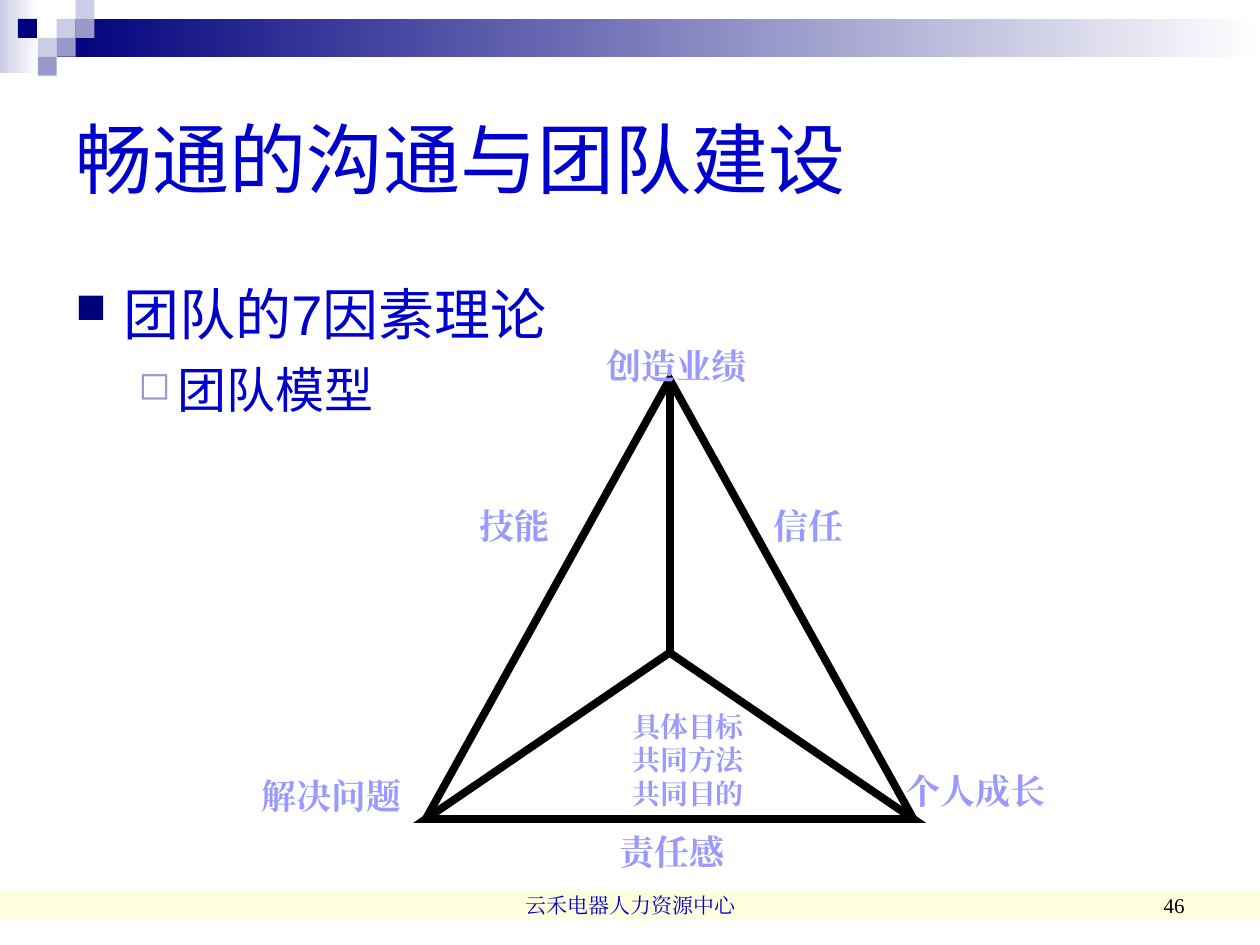
from dataclasses import dataclass

import pptx
import pptx.dml.color
import pptx.enum.shapes
import pptx.enum.text
import pptx.oxml
import pptx.oxml.ns
import pptx.util

RGBColor = pptx.dml.color.RGBColor
Shape = pptx.enum.shapes.MSO_SHAPE
Align = pptx.enum.text.PP_ALIGN
Anchor = pptx.enum.text.MSO_ANCHOR

NAVY = RGBColor(0x00, 0x00, 0x7D)
BLUE = RGBColor(0x00, 0x00, 0xCC)
LAVENDER = RGBColor(0xCC, 0xCC, 0xE6)
MAUVE = RGBColor(0x99, 0x99, 0xCC)
PERIWINKLE = RGBColor(0x99, 0x99, 0xFF)
YELLOW = RGBColor(0xFF, 0xFF, 0x99)
WHITE = RGBColor(0xFF, 0xFF, 0xFF)
BLACK = RGBColor(0x00, 0x00, 0x00)

COLUMNS, ROWS = 100, 75
SLIDE_WIDTH, SLIDE_HEIGHT = pptx.util.Inches(10), pptx.util.Inches(7.5)
TILE = 1.5
STROKE = pptx.util.Pt(4.5)


@dataclass(frozen=True)
class Box:
    """A rectangle in grid columns and rows."""
    left: float
    top: float
    width: float
    height: float

    def lengths(self) -> tuple[int, int, int, int]:
        return (column(self.left), row(self.top), column(self.width), row(self.height))


@dataclass(frozen=True)
class TextStyle:
    size: float
    color: RGBColor
    font: str = "Times New Roman"
    bold: bool = False
    align: Align = Align.LEFT
    anchor: Anchor = Anchor.TOP
    wrap: bool = True


@dataclass(frozen=True)
class Bullet:
    text: str
    character: str
    color: RGBColor
    percent: int
    size: float
    margin: float
    hang: float
    space_before: float


LABEL = TextStyle(20, PERIWINKLE, bold=True, align=Align.CENTER, anchor=Anchor.MIDDLE, wrap=False)
TILES = [(3, 1, LAVENDER), (4, 0, LAVENDER), (4, 1, MAUVE), (2, 2, LAVENDER),
         (0.95, 1, NAVY), (3, 2, MAUVE), (2, 3, MAUVE)]
PYRAMID = Box(33.8, 30.1, 38.7, 34.9)
BASE_HEIGHT = 13.2
LABELS = [
    ("创造业绩", Box(40.8, 27.2, 25.8, 3.6)),
    ("信任", Box(60, 41, 8.3, 1.4)),
    ("技能", Box(36.7, 41, 8.3, 1.4)),
    ("个人成长", Box(70.8, 60.6, 13.3, 4.3)),
    ("解决问题", Box(16.7, 61.3, 19.2, 3.6)),
    ("责任感", Box(47.1, 65.4, 12.5, 4.3)),
]
BULLETS = [
    Bullet("团队的7因素理论", "■", NAVY, 75, 32, 3.8, 3.8, 0),
    Bullet("团队模型", "◻", MAUVE, 80, 28, 8.1, 3.1, 7),
]


def column(count: float) -> int:
    return round(SLIDE_WIDTH * count / COLUMNS)


def row(count: float) -> int:
    return round(SLIDE_HEIGHT * count / ROWS)


def xml(tag: str, **attributes: str):
    element = pptx.oxml.parse_xml(f"<a:{tag} {pptx.oxml.ns.nsdecls('a')}/>")
    for name, value in attributes.items():
        element.set(name, value)
    return element


def add_filled(slide, box: Box, color: RGBColor, kind: Shape = Shape.RECTANGLE):
    shape = slide.shapes.add_shape(kind, *box.lengths())
    shape.shadow.inherit = False
    shape.fill.solid()
    shape.fill.fore_color.rgb = color
    shape.line.fill.background()
    return shape


def add_fade(slide, box: Box, color: RGBColor) -> None:
    """Draw a rectangle fading from the colour at the left to white."""
    fill = add_filled(slide, box, color).fill
    fill.gradient()
    fill.gradient_angle = 0
    for stop, position, stop_color in zip(fill.gradient_stops, (0, 1), (color, WHITE)):
        stop.position = position
        stop.color.rgb = stop_color


def add_outlined(slide, box: Box, kind: Shape) -> None:
    line = add_filled(slide, box, WHITE, kind).line
    line.color.rgb = BLACK
    line.width = STROKE
    line._get_or_add_ln().append(xml("miter", lim="800000"))


def add_edge(slide, x: float, top: float, bottom: float) -> None:
    edge = slide.shapes.add_connector(pptx.enum.shapes.MSO_CONNECTOR.STRAIGHT,
                                      column(x), row(top), column(x), row(bottom))
    edge.line.color.rgb = BLACK
    edge.line.width = STROKE
    edge._element.spPr.append(xml("effectLst"))


def format_paragraph(paragraph, style: TextStyle) -> None:
    paragraph.alignment = style.align
    for run in paragraph.runs:
        run.font.size = pptx.util.Pt(style.size)
        run.font.bold = style.bold
        run.font.name = style.font
        run.font.color.rgb = style.color
        run.font._element.find(pptx.oxml.ns.qn("a:latin")).addnext(xml("ea", typeface=style.font))


def add_text(slide, text: str, box: Box, style: TextStyle):
    frame = slide.shapes.add_textbox(*box.lengths()).text_frame
    frame.word_wrap = style.wrap
    frame.vertical_anchor = style.anchor
    frame.text = text
    for paragraph in frame.paragraphs:
        format_paragraph(paragraph, style)
    return frame


def add_bullets(slide, box: Box, bullets: list[Bullet]) -> None:
    frame = add_text(slide, "\n".join(bullet.text for bullet in bullets), box,
                     TextStyle(32, BLUE, "Arial"))
    for paragraph, bullet in zip(frame.paragraphs, bullets):
        paragraph.space_before = pptx.util.Pt(bullet.space_before)
        properties = paragraph._p.get_or_add_pPr()
        properties.set("marL", str(column(bullet.margin)))
        properties.set("indent", str(-column(bullet.hang)))
        color = xml("buClr")
        color.append(xml("srgbClr", val=str(bullet.color)))
        properties.extend([color, xml("buSzPct", val=str(bullet.percent * 1000)),
                           xml("buChar", char=bullet.character)])
        for run in paragraph.runs:
            run.font.size = pptx.util.Pt(bullet.size)


def add_decoration(slide) -> None:
    band = add_filled(slide, Box(0, 70.6, COLUMNS, 2.4), YELLOW)
    band.fill._xPr.find(".//" + pptx.oxml.ns.qn("a:srgbClr")).append(xml("alpha", val="30000"))
    add_fade(slide, Box(0, 0, 3.1, 5.8), LAVENDER)
    add_fade(slide, Box(3 * TILE, TILE, COLUMNS - 3 * TILE, 2 * TILE), NAVY)
    for tile_column, tile_row, color in TILES:
        add_filled(slide, Box(tile_column * TILE, tile_row * TILE, TILE, TILE), color)


def add_team_model(slide) -> None:
    base_top = PYRAMID.top + PYRAMID.height - BASE_HEIGHT
    add_outlined(slide, PYRAMID, Shape.ISOSCELES_TRIANGLE)
    add_edge(slide, PYRAMID.left + PYRAMID.width / 2, PYRAMID.top, base_top)
    add_outlined(slide, Box(PYRAMID.left, base_top, PYRAMID.width, BASE_HEIGHT),
                 Shape.FLOWCHART_EXTRACT)
    add_text(slide, "具体目标\n共同方法\n共同目的", Box(49.2, 55.8, 11.3, 9),
             TextStyle(16, PERIWINKLE, bold=True))
    for text, box in LABELS:
        add_text(slide, text, box, LABEL)


def main() -> None:
    presentation = pptx.Presentation()
    presentation.slide_width, presentation.slide_height = SLIDE_WIDTH, SLIDE_HEIGHT
    slide = presentation.slides.add_slide(presentation.slide_layouts[6])
    add_decoration(slide)
    add_text(slide, "畅通的沟通与团队建设", Box(5, 5, 90, 15),
             TextStyle(44, BLUE, "Arial", anchor=Anchor.MIDDLE))
    add_bullets(slide, Box(5, 21.7, 90, 42.5), BULLETS)
    add_team_model(slide)
    add_text(slide, "云禾电器人力资源中心", Box(34.2, 68.3, 31.7, 5),
             TextStyle(12, BLUE, align=Align.CENTER, anchor=Anchor.BOTTOM))
    add_text(slide, "46", Box(71.7, 68.3, 23.3, 5),
             TextStyle(12, BLACK, align=Align.RIGHT, anchor=Anchor.BOTTOM))
    presentation.save("out.pptx")


if __name__ == "__main__":
    main()
